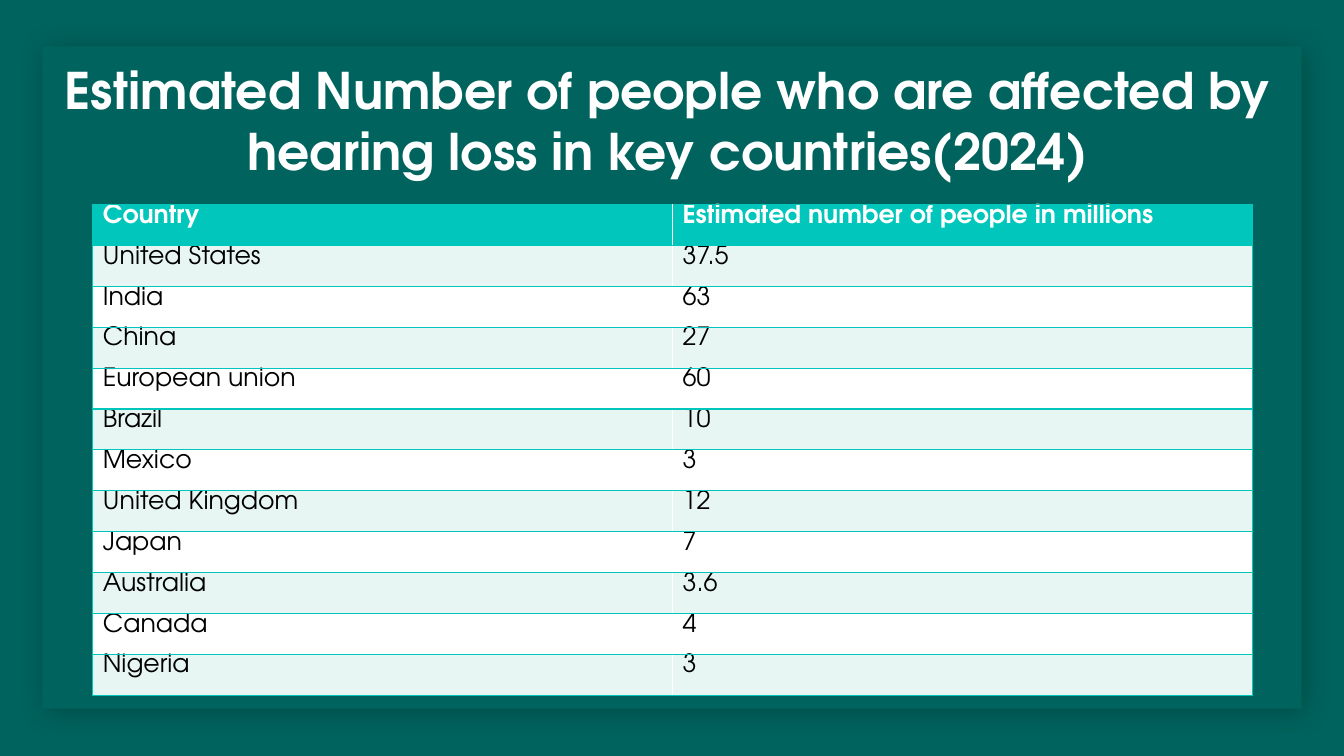
from lxml import etree
from pptx import Presentation
from pptx.dml.color import RGBColor
from pptx.enum import shapes, text
from pptx.oxml import parse_xml
from pptx.oxml.ns import nsdecls
from pptx.util import Inches, Pt

# Content
TITLE = "Estimated Number of people who are affected by hearing loss in key countries(2024)"
HEADER = ("Country", "Estimated number of people in millions")
COUNTRIES = [
    ("United States", "37.5"),
    ("India", "63"),
    ("China", "27"),
    ("European union", "60"),
    ("Brazil", "10"),
    ("Mexico", "3"),
    ("United Kingdom", "12"),
    ("Japan", "7"),
    ("Australia", "3.6"),
    ("Canada", "4"),
    ("Nigeria", "3"),
]

# Look
COLORS = {"back": "00635D", "accent": "00C6BB", "band": "E7F5F3",
          "white": "FFFFFF", "black": "000000"}
FONT = "TeX Gyre Adventor"
TABLE_WIDTH, TABLE_HEIGHT = 11.5, 4.87


def rgb(name):
    return RGBColor.from_string(COLORS[name])


def write(paragraph, words, size, color, bold):
    run = paragraph.add_run()
    run.text = words
    for key, value in {"name": FONT, "size": Pt(size), "bold": bold}.items():
        setattr(run.font, key, value)
    run.font.color.rgb = rgb(color)


def add_border(properties, side):
    properties.append(parse_xml(
        f'<a:ln{side} {nsdecls("a")} w="{Pt(1)}"><a:solidFill>'
        f'<a:srgbClr val="{COLORS["accent"]}"/></a:solidFill></a:ln{side}>'))


prs = Presentation()
prs.slide_width, prs.slide_height = Inches(13.33), Inches(7.5)
slide = prs.slides.add_slide(prs.slide_layouts[6])
slide.background.fill.solid()
slide.background.fill.fore_color.rgb = rgb("back")

# Panel with a soft shadow
panel = slide.shapes.add_shape(shapes.MSO_SHAPE.RECTANGLE, Inches(0.42), Inches(0.46),
                               Inches(12.49), Inches(6.57))
panel.fill.solid()
panel.fill.fore_color.rgb = rgb("back")
panel.line.fill.background()
panel.shadow.inherit = False
effects = panel.element.spPr.find("{*}effectLst")
effects.append(parse_xml(
    f'<a:outerShdw {nsdecls("a")} blurRad="{Pt(20)}" dist="{Pt(4)}" dir="2700000" '
    f'algn="ctr" rotWithShape="0"><a:srgbClr val="{COLORS["black"]}">'
    '<a:alpha val="25000"/></a:srgbClr></a:outerShdw>'))

# Title
title = slide.shapes.add_textbox(Inches(0.53), Inches(0.63), Inches(12.18), Inches(1.12))
frame = title.text_frame
for key, value in {"word_wrap": True, "vertical_anchor": text.MSO_ANCHOR.MIDDLE,
                   "margin_left": Inches(0.05), "margin_right": Inches(0.05)}.items():
    setattr(frame, key, value)
frame.paragraphs[0].alignment = text.PP_ALIGN.CENTER
write(frame.paragraphs[0], TITLE, 36, "white", True)

# Table
rows = [HEADER] + COUNTRIES
table = slide.shapes.add_table(len(rows), len(HEADER), Inches(0.92), Inches(2.03),
                               Inches(TABLE_WIDTH), Inches(TABLE_HEIGHT)).table
for column in table.columns:
    column.width = Inches(TABLE_WIDTH / len(HEADER))
for r, row in enumerate(rows):
    table.rows[r].height = Inches(TABLE_HEIGHT / len(rows))
    is_header = r == 0
    fill = "accent" if is_header else "band" if r % 2 else "white"
    for c, words in enumerate(row):
        cell = table.cell(r, c)
        cell.margin_top = cell.margin_bottom = 0
        write(cell.text_frame.paragraphs[0], words, 18,
              "white" if is_header else "black", is_header)
        for side in ("L" if c == 0 else "R", "T", "B"):
            add_border(cell._tc.get_or_add_tcPr(), side)
        cell.fill.solid()
        cell.fill.fore_color.rgb = rgb(fill)

prs.save("out.pptx")
